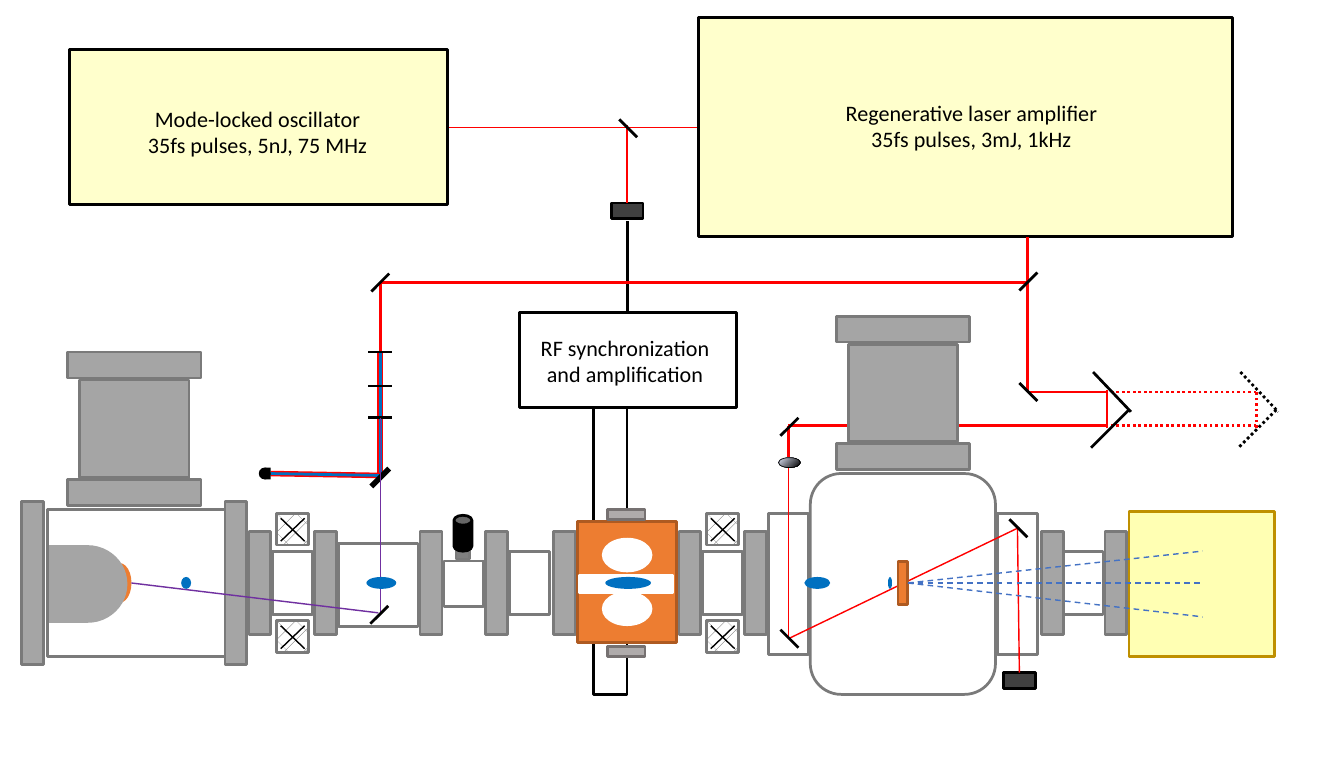
from dataclasses import dataclass
from lxml import etree
from pptx import Presentation
from pptx.dml.color import RGBColor
from pptx.enum.dml import MSO_LINE, MSO_PATTERN
from pptx.enum.shapes import MSO_CONNECTOR, MSO_SHAPE
from pptx.enum.text import PP_ALIGN
from pptx.oxml.ns import qn
from pptx.util import Inches, Pt

RECT, OVAL, CAN = MSO_SHAPE.RECTANGLE, MSO_SHAPE.OVAL, MSO_SHAPE.CAN
ROUNDED, STRAIGHT = MSO_SHAPE.ROUNDED_RECTANGLE, MSO_CONNECTOR.STRAIGHT
DOT, DASH, HATCH = MSO_LINE.ROUND_DOT, MSO_LINE.DASH, MSO_PATTERN.PERCENT_30
CENTER = PP_ALIGN.CENTER
COLUMNS, ROWS, CELL = 675, 394, 0.01  # slide grid; cell size in inches


@dataclass(frozen=True)
class Theme:
    """Colours, type and line widths of the slide."""
    font: str = "Calibri"
    size: float = 8
    thin: float = 0.5
    normal: float = 1
    thick: float = 2
    black: str = "000000"
    white: str = "FFFFFF"
    laser: str = "FF0000"
    blue: str = "0070C0"
    violet: str = "7030A0"
    diffracted: str = "4472C4"
    source: str = "FFFFCC"
    screen: str = "FFFFB3"
    screen_edge: str = "BF9000"
    steel: str = "A5A5A5"
    steel_edge: str = "7A7A7A"
    neck: str = "808080"
    plate: str = "AFABAB"
    plate_edge: str = "767171"
    detector: str = "404040"
    copper: str = "ED7D31"
    copper_edge: str = "AE5A21"
    glint: str = "E0E5F7"


THEME = Theme()


@dataclass(frozen=True)
class Box:
    """An area of the slide, in grid cells."""
    left: float
    top: float
    width: float
    height: float

    def area(self, left, top, width, height):
        """Return a box placed relative to this one."""
        return Box(self.left + left, self.top + top, width, height)

    def point(self, column, row):
        """Return the slide position of a point of this box."""
        return cells(self.left + column), cells(self.top + row)

    def frame(self):
        """Return left, top, width and height as lengths."""
        return [cells(n) for n in (self.left, self.top, self.width, self.height)]


def cells(count):
    """Turn grid cells into a length."""
    return Inches(count * CELL)


def rgb(colour):
    """Turn a hex colour into an RGBColor."""
    return RGBColor.from_string(colour)


def draw(slide, box, fill=None, edge=None, kind=RECT, width=THEME.normal):
    """Draw one preset shape filling the box."""
    shape = slide.shapes.add_shape(kind, *box.frame())
    shape.shadow.inherit = False
    if fill:
        shape.fill.solid()
        shape.fill.fore_color.rgb = rgb(fill)
    else:
        shape.fill.background()
    if edge:
        shape.line.color.rgb = rgb(edge)
        shape.line.width = Pt(width)
    else:
        shape.line.fill.background()
    return shape


def line(slide, box, start, end, colour=THEME.black, width=THEME.normal, dash=None):
    """Draw a straight line between two points of the box."""
    connector = slide.shapes.add_connector(STRAIGHT, *box.point(*start), *box.point(*end))
    connector.line.color.rgb = rgb(colour)
    connector.line.width = Pt(width)
    if dash:
        connector.line.dash_style = dash
    etree.SubElement(connector.element.spPr, qn("a:effectLst"))


def mirror(slide, box, column, row, rising, width=THEME.normal):
    """Draw a diagonal mirror centred on a point of the box."""
    reach = 4.5
    rise = reach if rising else -reach
    line(slide, box, (column - reach, row + rise), (column + reach, row - rise), width=width)


def caption(slide, box, *texts):
    """Write centred paragraphs in the box."""
    frame = slide.shapes.add_textbox(*box.frame()).text_frame
    frame.word_wrap = True
    for index, text in enumerate(texts):
        paragraph = frame.add_paragraph() if index else frame.paragraphs[0]
        paragraph.alignment = CENTER
        run = paragraph.add_run()
        run.text = text
        run.font.name, run.font.size = THEME.font, Pt(THEME.size)
        run.font.color.rgb = rgb(THEME.black)


def steel(slide, box):
    """Draw a solid steel piece."""
    draw(slide, box, THEME.steel, THEME.steel_edge)


def hollow(slide, box, kind=RECT):
    """Draw the outline of a vacuum vessel."""
    draw(slide, box, edge=THEME.steel_edge, kind=kind)


def flanges(slide, box, columns, row, height=52):
    """Draw upright flanges at the given columns."""
    for column in columns:
        steel(slide, box.area(column, row, 11, height))


def photodiode(slide, box):
    """Draw a dark detector block."""
    draw(slide, box, THEME.detector, THEME.black)


def turbo_pump(slide, box):
    """Draw a pump body between two wide flanges."""
    for row in (64, 0):
        steel(slide, box.area(0, row, box.width, 13))
    steel(slide, box.area(6, 14, box.width - 12, 49))


def rf_station(slide, box):
    """Draw the synchronization box, its photodiode, cable and waveguide."""
    draw(slide, box.area(37, 103, 17, 144), edge=THEME.black)
    photodiode(slide, box.area(46, 0, 16, 8))
    draw(slide, box.area(0, 55, box.width, 48), edge=THEME.black)
    line(slide, box, (54, 55), (54, 9))
    caption(slide, box.area(-1, 61, 108, 37), "RF synchronization and amplification")


def laser_system(slide, box):
    """Draw oscillator, amplifier and the seed beam with its pick-off."""
    line(slide, box, (280, 54), (280, 93), THEME.laser, THEME.thin)
    line(slide, box, (190, 55), (316, 55), THEME.laser, THEME.thin)
    mirror(slide, box, 280.5, 55.5, False)
    for housing in (box.area(0, 16, 190, 78), box.area(316, 0, 268, box.height)):
        draw(slide, housing, THEME.source, THEME.black)
    caption(slide, box.area(28, 39, 133, 37),
            "Mode-locked oscillator", "35fs pulses, 5nJ, 75 MHz")
    caption(slide, box.area(373, 36, 160, 37),
            "Regenerative laser amplifier", "35fs pulses, 3mJ, 1kHz")


def harmonic_line(slide, box):
    """Draw the split beam, its conversion crystals and the beam dump."""
    for start, end in (((386, 78), (386, 0)), ((61, 23), (386, 23)), ((61, 58), (61, 23))):
        line(slide, box, start, end, THEME.laser)
    mirror(slide, box, 386.5, 22.5, True)
    mirror(slide, box, 61, 23, True)
    for start, end in (((61, 121), (61, 58)), ((62, 120), (6, 119))):
        line(slide, box, start, end, THEME.laser, THEME.thick)
        line(slide, box, start, end, THEME.blue)
    for row in (58, 75, 91):
        line(slide, box, (55, row), (67, row))
    draw(slide, box.area(3, 116, 3, 6), THEME.black)
    draw(slide, box.area(0, 116, 6, 6), THEME.black, kind=OVAL)
    mirror(slide, box, 61, 121, True, THEME.thick)


def delay_stage(slide, box):
    """Draw the retroreflector at its near and far positions."""
    line(slide, box, (0, 47), (0, 27), THEME.laser)
    for near, far, dash in ((0, 160, None), (160, 235, DOT)):
        line(slide, box, (far, 27), (near, 27), THEME.laser, dash=dash)
        line(slide, box, (far, 10), (max(near, 121), 10), THEME.laser, dash=dash)
        line(slide, box, (far, 28), (far, 9), THEME.laser, dash=dash)
    for shift, dash in ((0, None), (74, DOT)):
        line(slide, box, (171 + shift, 19), (152 + shift, 38), dash=dash)
        line(slide, box, (153 + shift, 0), (172 + shift, 20), dash=dash)
    mirror(slide, box, 120.5, 10, False)
    mirror(slide, box, 0.5, 27.5, True)


def electron_gun(slide, box):
    """Draw the gun chamber with cathode and pump."""
    draw(slide, box.area(43, 106, 12, 20), THEME.copper, kind=OVAL)
    draw(slide, box.area(13, 97, 20, 39), THEME.steel)
    draw(slide, box.area(13, 97, 40, 39), THEME.steel, kind=OVAL)
    flanges(slide, box, (0, 102), 75, 82)
    hollow(slide, box.area(13, 79, 89, 74))
    turbo_pump(slide, box.area(23, 0, 67, 77))


def solenoid(slide, box):
    """Draw a flanged tube between two magnet coils."""
    flanges(slide, box, (0, 33), 9)
    hollow(slide, box.area(12, 19, 20, 32))
    for row in (0, 54):
        coil = box.area(14, row, 16, 16)
        shape = draw(slide, coil, THEME.white, THEME.steel_edge)
        shape.fill.patterned()
        shape.fill.pattern = HATCH
        shape.fill.fore_color.rgb = rgb(THEME.neck)
        shape.fill.back_color.rgb = rgb(THEME.white)
        line(slide, coil, (14, 14), (2, 2.5), width=THEME.thin)
        line(slide, coil, (14, 2.5), (2, 14), width=THEME.thin)


def injection_section(slide, box):
    """Draw the mirror chamber, gate valve and ultraviolet beam."""
    hollow(slide, box.area(0, 14, 40, 42))
    flanges(slide, box, (41, 74, 108), 8)
    hollow(slide, box.area(53, 23, 20, 23))
    hollow(slide, box.area(86, 18, 20, 32))
    draw(slide, box.area(59, 13, 7, 9), THEME.neck, THEME.steel_edge)
    draw(slide, box.area(58, 0, 9, 18), THEME.black, THEME.black, CAN).adjustments[0] = 0.55
    for start, end in (((-104, 34), (20, 49)), ((21, -49), (21, 49))):
        line(slide, box, start, end, THEME.violet, THEME.thin)
    mirror(slide, box, 20.5, 50, True)


def rf_cavity(slide, box):
    """Draw the copper cavity with its two lobes and coupling plates."""
    draw(slide, box.area(0, 6, box.width, 61), THEME.copper, THEME.copper_edge)
    for row in (15, 42):
        draw(slide, box.area(13, row, 24, 16), THEME.white, THEME.white, OVAL)
    draw(slide, box.area(1, 33, 47, 9), THEME.white, THEME.white)
    for row in (0, box.height - 5):
        draw(slide, box.area(15, row, 19, 5), THEME.plate, THEME.plate_edge)


def sample_chamber(slide, box):
    """Draw the chamber, sample, pump and the laser beam through it."""
    for column in (0, 115):
        hollow(slide, box.area(column, 20, 20, 71))
    hollow(slide, box.area(21, 0, 93, 111), ROUNDED)
    turbo_pump(slide, box.area(34, -79, 67, 77))
    photodiode(slide, box.area(118, 100, 16, 8))
    for start, end in (((126, 100), (125, 27)), ((10, 82), (10, -8)), ((10, 83), (126, 27))):
        line(slide, box, start, end, THEME.laser, THEME.thin)
    lens = draw(slide, box.area(5, -8, 11, 5), THEME.black, THEME.black, OVAL, 0.25)
    lens.fill.gradient()
    for stop, colour in zip(lens.fill.gradient_stops, (THEME.black, THEME.glint)):
        stop.color.rgb = rgb(colour)
    gradient = lens.element.spPr.find(qn("a:gradFill"))
    radial = etree.Element(qn("a:path"), {"path": "circle"})
    etree.SubElement(radial, qn("a:fillToRect"), {"l": "100000", "t": "100000"})
    gradient.replace(gradient.find(qn("a:lin")), radial)
    mirror(slide, box, 125.5, 27.5, False)
    mirror(slide, box, 10.5, 83, False)
    draw(slide, box.area(65, 44, 5, 22), THEME.copper, THEME.copper_edge)


def diffraction_detector(slide, box):
    """Draw the screen and the diffracted beams reaching it."""
    flanges(slide, box, (0, 32), 10)
    hollow(slide, box.area(11, 20, 20, 32))
    draw(slide, box.area(44, 0, 73, box.height), THEME.screen, THEME.screen_edge)
    for row in (20, 53, 36):
        line(slide, box, (-67, 36), (81, row), THEME.diffracted, THEME.thin, DASH)


def electron_bunches(slide, box):
    """Draw the bunch as it stretches and shortens along the axis."""
    for column, width in ((0, 5), (93, 15), (213, 23), (313, 13), (355, 2)):
        draw(slide, box.area(column, 0, width, box.height), THEME.blue, kind=OVAL)


REGIONS = (
    (rf_station, Box(261, 102, 109, 247)),
    (laser_system, Box(35, 9, 584, 110)),
    (harmonic_line, Box(130, 119, 391, 125)),
    (delay_stage, Box(396, 187, 246, 38)),
    (electron_gun, Box(11, 177, 113, 157)),
    (solenoid, Box(125, 258, 44, 70)),
    (injection_section, Box(170, 259, 119, 60)),
    (rf_cavity, Box(290, 256, 50, 74)),
    (solenoid, Box(341, 258, 44, 70)),
    (sample_chamber, Box(386, 238, 135, 111)),
    (diffraction_detector, Box(523, 257, 117, 73)),
    (electron_bunches, Box(91, 290, 357, 6)),
)

presentation = Presentation()
presentation.slide_width, presentation.slide_height = cells(COLUMNS), cells(ROWS)
beamline_slide = presentation.slides.add_slide(presentation.slide_layouts[6])
for place_region, region_box in REGIONS:
    place_region(beamline_slide, region_box)
presentation.save("out.pptx")
